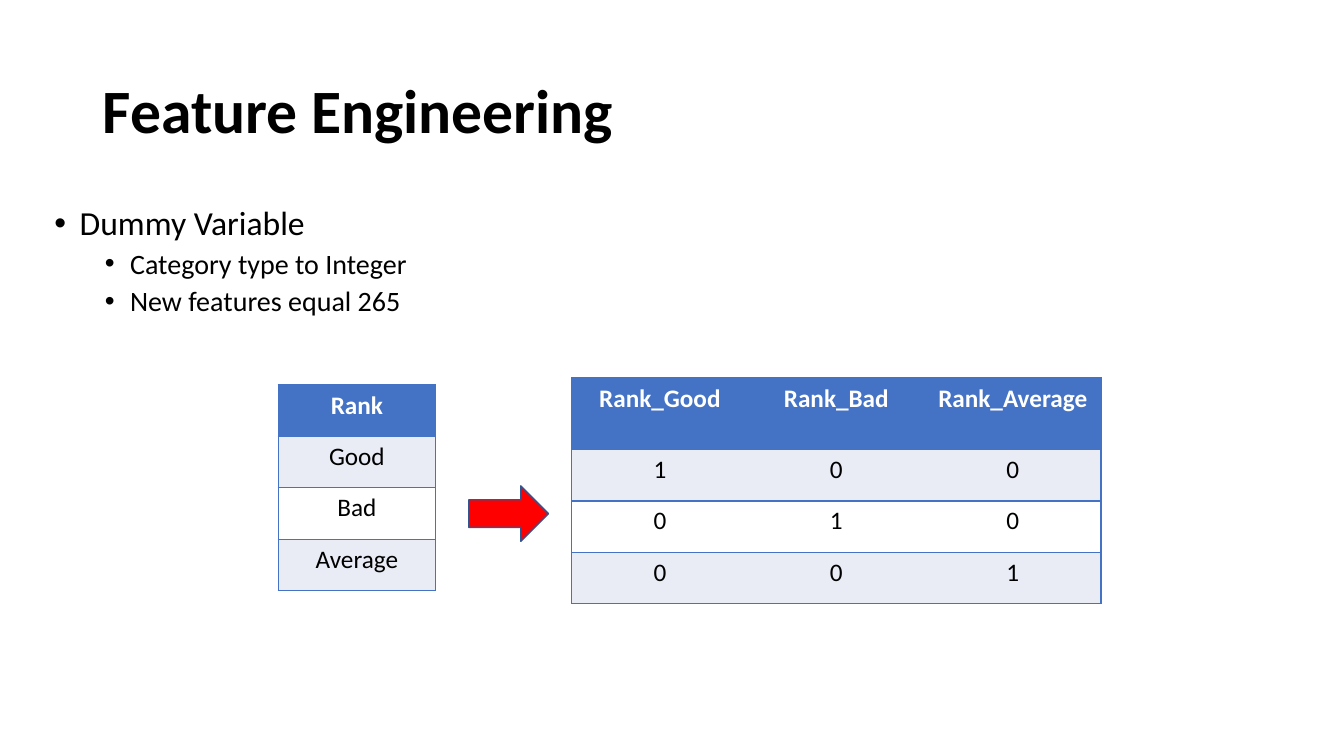
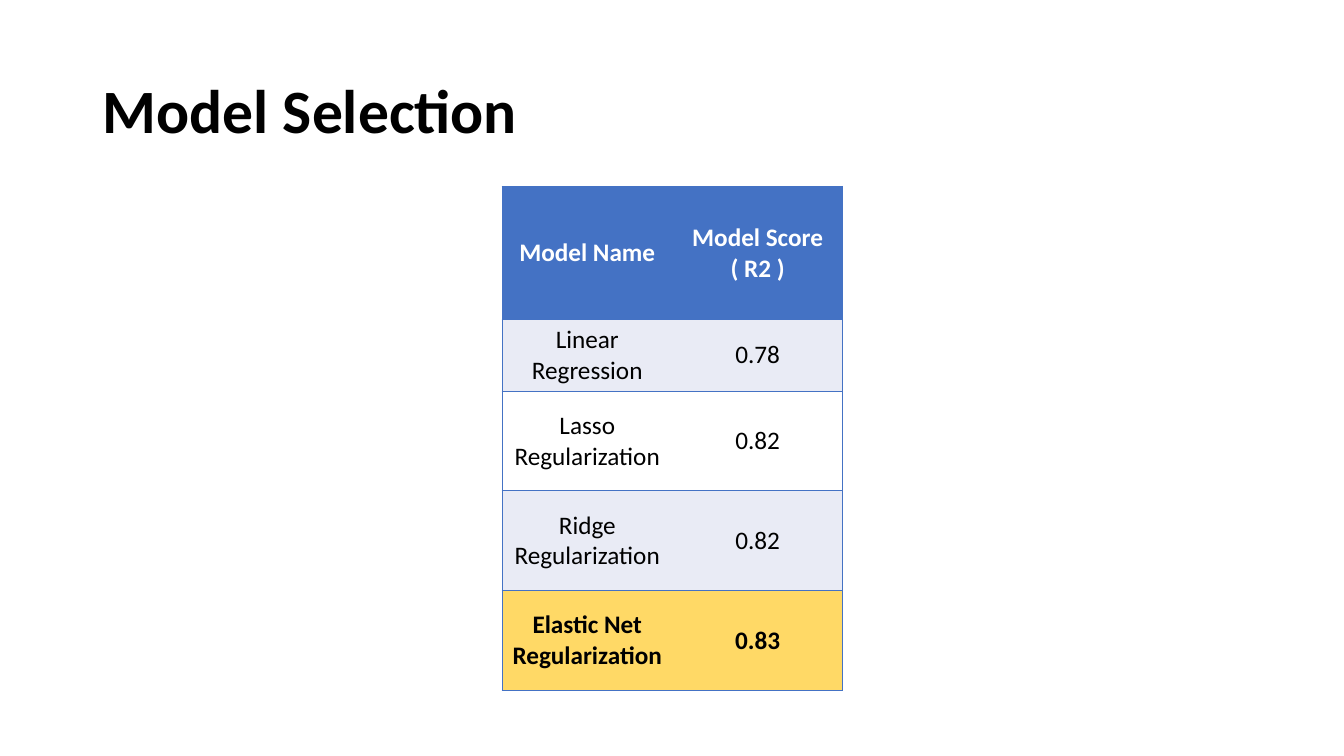
from lxml.etree import SubElement
from pptx import Presentation
from pptx.dml.color import RGBColor
from pptx.enum.shapes import MSO_SHAPE
from pptx.enum.text import MSO_ANCHOR, MSO_AUTO_SIZE, PP_ALIGN
from pptx.oxml.ns import qn
from pptx.util import Inches, Pt

FONT = "Calibri"
BLACK, WHITE, BLUE, PALE = "000000", "FFFFFF", "4472C4", "E9EBF5"
RED, DARK_BLUE, GOLD = "FF0000", "325491", "FFD966"
TITLE_AND_CONTENT, TITLE_ONLY = 1, 5


def color(hex_string):
    """Turn a hex string into a colour."""
    return RGBColor.from_string(hex_string)


def set_font(paragraph, size, hex_string=BLACK, bold=False):
    """Give a paragraph its font."""
    font = paragraph.font
    font.name, font.size, font.bold = FONT, Pt(size), bold
    font.color.rgb = color(hex_string)


def place(shape, left, top, width, height):
    """Position a shape, in inches."""
    shape.left, shape.top = Inches(left), Inches(top)
    shape.width, shape.height = Inches(width), Inches(height)


def add_titled_slide(presentation, layout_index, text):
    """Add a slide with the shared title style."""
    slide = presentation.slides.add_slide(presentation.slide_layouts[layout_index])
    title = slide.shapes.title
    place(title, 0.92, 0.4, 11.5, 1.45)
    title.text_frame.text = text
    title.text_frame.vertical_anchor = MSO_ANCHOR.MIDDLE
    paragraph = title.text_frame.paragraphs[0]
    paragraph.alignment = PP_ALIGN.LEFT
    paragraph.line_spacing = 0.9
    set_font(paragraph, 44, bold=True)
    return slide


def fill_bullets(body, items):
    """Write (level, text) items as a bulleted list."""
    frame = body.text_frame
    frame.auto_size = MSO_AUTO_SIZE.NONE
    frame.text = "\n".join(text for _, text in items)
    for paragraph, (level, _) in zip(frame.paragraphs, items):
        paragraph.level = level
        paragraph.line_spacing = 0.9
        paragraph.space_before = Pt(5 if level else 10)
        set_font(paragraph, 20 if level else 24)
        properties = paragraph._p.get_or_add_pPr()
        properties.set("marL", str(Inches(0.25 + 0.5 * level)))
        properties.set("indent", str(Inches(-0.25)))
        SubElement(properties, qn("a:buFont"), typeface="Arial")
        SubElement(properties, qn("a:buChar"), char="•")


def set_borders(cell, visible_sides):
    """Draw the named sides of a cell and clear the others."""
    properties = cell._tc.get_or_add_tcPr()
    for side in "LRTB":
        line = SubElement(properties, qn(f"a:ln{side}"), w=str(Pt(1)))
        if side in visible_sides:
            fill = SubElement(line, qn("a:solidFill"))
            SubElement(fill, qn("a:srgbClr"), val=BLUE)
        else:
            SubElement(line, qn("a:noFill"))


def add_banded_table(slide, left, top, column_width, row_heights, rows,
                     anchor=MSO_ANCHOR.TOP, highlight=None):
    """Add a table with a blue header, pale bands and an optional gold row."""
    column_count = len(rows[0])
    table = slide.shapes.add_table(
        len(rows), column_count, Inches(left), Inches(top),
        Inches(column_width * column_count), Inches(sum(row_heights))).table
    for column in table.columns:
        column.width = Inches(column_width)
    for row_index, values in enumerate(rows):
        table.rows[row_index].height = Inches(row_heights[row_index])
        header, chosen = row_index == 0, row_index == highlight
        band = PALE if row_index % 2 else WHITE
        background = BLUE if header else GOLD if chosen else band
        for column_index, value in enumerate(values):
            cell = table.cell(row_index, column_index)
            sides = "TB"
            if column_index == 0:
                sides += "L"
            if column_index == column_count - 1:
                sides += "R"
            set_borders(cell, sides)
            cell.fill.solid()
            cell.fill.fore_color.rgb = color(background)
            cell.vertical_anchor = anchor
            cell.text = value
            for paragraph in cell.text_frame.paragraphs:
                paragraph.alignment = PP_ALIGN.CENTER
                set_font(paragraph, 18, WHITE if header else BLACK, header or chosen)


def add_right_arrow(slide, left, top, width, height):
    """Add a red block arrow."""
    arrow = slide.shapes.add_shape(
        MSO_SHAPE.RIGHT_ARROW, Inches(left), Inches(top), Inches(width), Inches(height))
    arrow.shadow.inherit = False
    arrow.fill.solid()
    arrow.fill.fore_color.rgb = color(RED)
    arrow.line.color.rgb = color(DARK_BLUE)
    arrow.line.width = Pt(1)


def build_feature_engineering(presentation):
    """Build the slide on dummy variables."""
    slide = add_titled_slide(presentation, TITLE_AND_CONTENT, "Feature Engineering")
    body = slide.placeholders[1]
    place(body, 0.44, 2, 6.22, 1.3)
    fill_bullets(body, [(0, "Dummy Variable"),
                        (1, "Category type to Integer"),
                        (1, "New features equal 265")])
    ranks = ["Good", "Bad", "Average"]
    add_banded_table(slide, 2.76, 3.82, 1.56, [0.51] * 4,
                     [["Rank"]] + [[rank] for rank in ranks])
    dummies = [["1" if rank == other else "0" for other in ranks] for rank in ranks]
    add_banded_table(slide, 5.67, 3.75, 1.75, [0.71] + [0.51] * 3,
                     [[f"Rank_{rank}" for rank in ranks]] + dummies)
    add_right_arrow(slide, 4.65, 4.82, 0.79, 0.55)


def build_model_selection(presentation):
    """Build the slide comparing model scores."""
    slide = add_titled_slide(presentation, TITLE_ONLY, "Model Selection")
    rows = [["Model Name", "Model Score\n( R2 )"],
            ["Linear\nRegression", "0.78"],
            ["Lasso Regularization", "0.82"],
            ["Ridge Regularization", "0.82"],
            ["Elastic Net Regularization", "0.83"]]
    add_banded_table(slide, 4.98, 1.85, 1.69, [1.32, 0.71] + [0.99] * 3, rows,
                     MSO_ANCHOR.MIDDLE, highlight=4)


def main():
    """Build and save the presentation."""
    presentation = Presentation()
    presentation.slide_width = Inches(13.33)
    presentation.slide_height = Inches(7.5)
    build_feature_engineering(presentation)
    build_model_selection(presentation)
    presentation.save("out.pptx")


if __name__ == "__main__":
    main()
